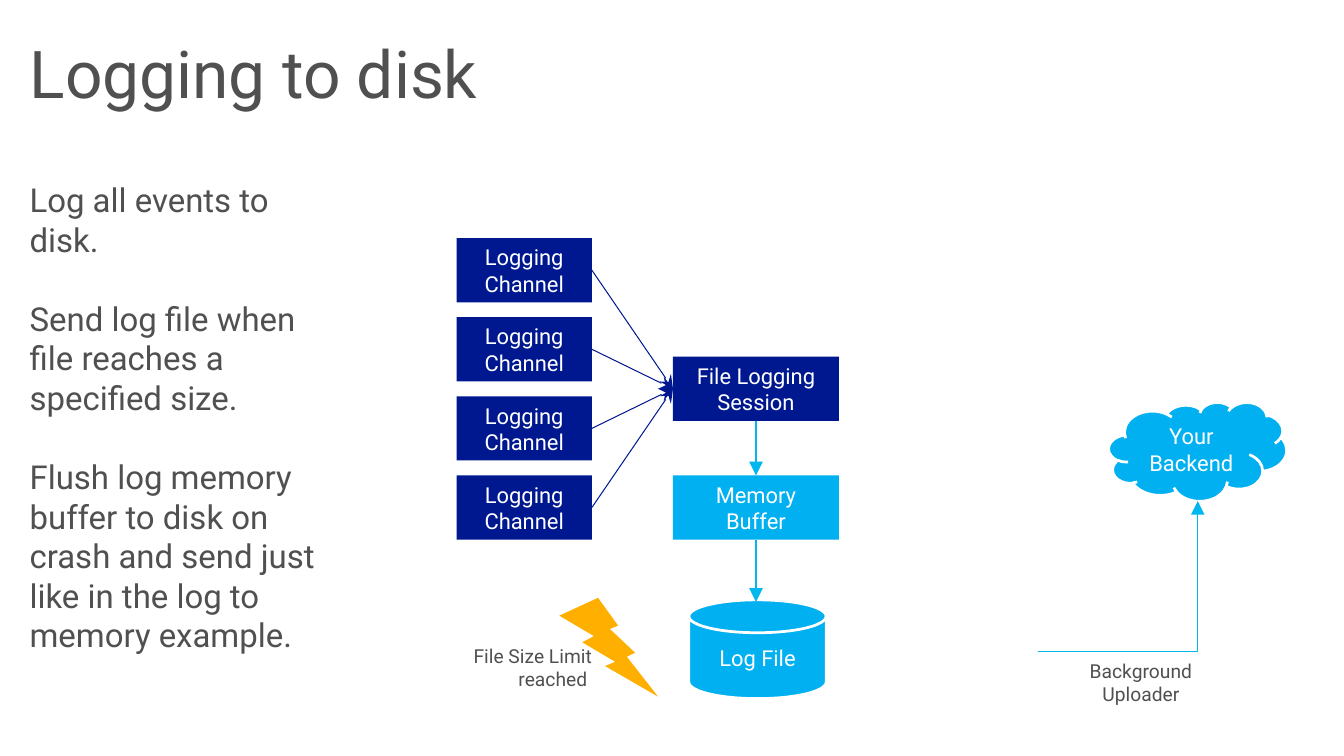
from lxml.etree import SubElement
from pptx import Presentation
from pptx.dml.color import RGBColor
from pptx.enum.shapes import MSO_CONNECTOR as LINK, MSO_SHAPE as SHAPE
from pptx.enum.text import MSO_ANCHOR as ANCHOR, PP_ALIGN as ALIGN
from pptx.oxml.ns import qn
from pptx.util import Inches, Pt

NAVY = RGBColor(0x00, 0x18, 0x8F)
SKY = RGBColor(0x00, 0xB0, 0xF0)
ARROW_BLUE = RGBColor(0x00, 0xB8, 0xED)
AMBER = RGBColor(0xFF, 0xAF, 0x00)
GRAY = RGBColor(0x50, 0x50, 0x50)
WHITE = RGBColor(0xFF, 0xFF, 0xFF)

TOP, LEFT, BOTTOM, RIGHT = range(4)


def fill_text(frame, lines, size, color, align, gap=0):
    for index, line in enumerate(lines):
        para = frame.paragraphs[0] if index == 0 else frame.add_paragraph()
        para.text = line
        para.alignment = align
        para.space_before = Pt(gap if index else 0)
        para.font.name = "Roboto"
        para.font.size = Pt(size)
        para.font.color.rgb = color


def add_text(page, bounds, lines, size, align=ALIGN.LEFT, gap=0, inset=0, wrap=True):
    frame = page.shapes.add_textbox(*map(Inches, bounds)).text_frame
    frame.word_wrap = wrap
    frame.margin_left = frame.margin_right = Inches(inset)
    frame.margin_top = frame.margin_bottom = Inches(inset / 2)
    fill_text(frame, lines, size, GRAY, align, gap)


def add_node(page, kind, bounds, color, label=None, outlined=False):
    node = page.shapes.add_shape(kind, *map(Inches, bounds))
    node.shadow.inherit = False
    node.fill.solid()
    node.fill.fore_color.rgb = color
    if outlined:
        node.line.color.rgb = WHITE
        node.line.width = Pt(2)
    else:
        node.line.fill.background()
    if label:
        frame = node.text_frame
        frame.word_wrap = True
        frame.vertical_anchor = ANCHOR.MIDDLE
        frame.margin_left = frame.margin_right = Inches(0.13)
        frame.margin_top = frame.margin_bottom = Inches(0.07)
        fill_text(frame, [label], 16, WHITE, ALIGN.CENTER)
    return node


def add_arrow(page, start, end, color, head="triangle", kind=LINK.STRAIGHT):
    arrow = page.shapes.add_connector(kind, *map(Inches, start + end))
    arrow.line.color.rgb = color
    arrow.line.width = Pt(0.75)
    SubElement(arrow.line._get_or_add_ln(), qn("a:tailEnd"), type=head, w="lg", len="lg")
    SubElement(arrow._element.spPr, qn("a:effectLst"))
    return arrow


def main():
    deck = Presentation()
    deck.slide_width, deck.slide_height = Inches(13.6), Inches(7.65)
    page = deck.slides.add_slide(deck.slide_layouts[6])

    # Title and explanation
    add_text(page, (0.3, 0.33, 13, 1), ["Logging to disk"], 48)
    add_text(page, (0.3, 1.82, 3, 5.5), [
        "Log all events to disk.",
        "Send log file when file reaches a specified size.",
        "Flush log memory buffer to disk on crash and send just like in the log to memory example.",
    ], 24, gap=28.8)

    # Session, buffer and log file
    session = add_node(page, SHAPE.RECTANGLE, (6.81, 3.61, 1.68, 0.65), NAVY,
                       "File Logging Session")
    memory = add_node(page, SHAPE.RECTANGLE, (6.81, 4.81, 1.68, 0.65), SKY, "Memory Buffer")
    add_node(page, SHAPE.FLOWCHART_MAGNETIC_DISK, (6.97, 6.07, 1.39, 1), SKY,
             "Log File", outlined=True)
    flush = add_arrow(page, (7.65, 4.26), (7.65, 4.81), ARROW_BLUE)
    flush.begin_connect(session, BOTTOM)
    flush.end_connect(memory, TOP)
    store = add_arrow(page, (7.65, 5.46), (7.65, 6.09), ARROW_BLUE)
    store.begin_connect(memory, BOTTOM)

    # Channels feeding the session
    for row in range(4):
        top = 2.41 + 0.8 * row
        channel = add_node(page, SHAPE.RECTANGLE, (4.62, top, 1.37, 0.65), NAVY,
                           "Logging Channel")
        feed = add_arrow(page, (5.99, top + 0.325), (6.81, 3.93), NAVY, "stealth")
        feed.begin_connect(channel, RIGHT)
        feed.end_connect(session, LEFT)

    # Size limit trigger
    add_node(page, SHAPE.LIGHTNING_BOLT, (5.66, 6.05, 1, 1), AMBER)
    add_text(page, (4.66, 6.47, 1.43, 0.57), ["File Size Limit", "reached "], 14,
             ALIGN.RIGHT, inset=0.1, wrap=False)

    # Upload to the backend
    add_node(page, SHAPE.CLOUD, (11.22, 4.07, 1.8, 1), SKY, "Your Backend", outlined=True)
    upload = add_arrow(page, (10.5, 6.59), (12.12, 5.07), ARROW_BLUE, kind=LINK.ELBOW)
    upload._element.spPr.find(qn("a:prstGeom")).set("prst", "bentConnector2")
    add_text(page, (10.9, 6.62, 1.29, 0.57), ["Background", "Uploader"], 14,
             ALIGN.CENTER, inset=0.1, wrap=False)

    deck.save("out.pptx")


if __name__ == "__main__":
    main()
